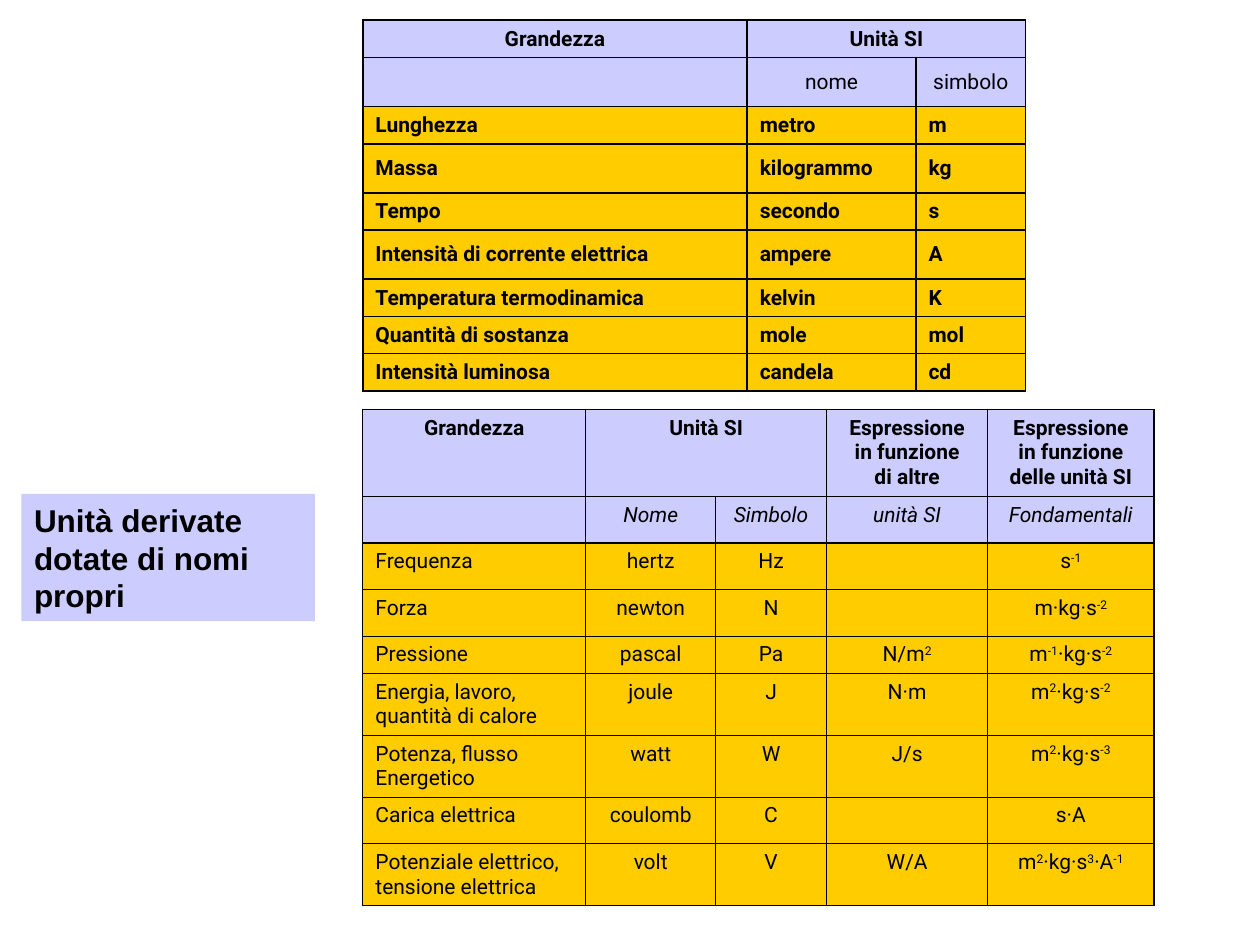
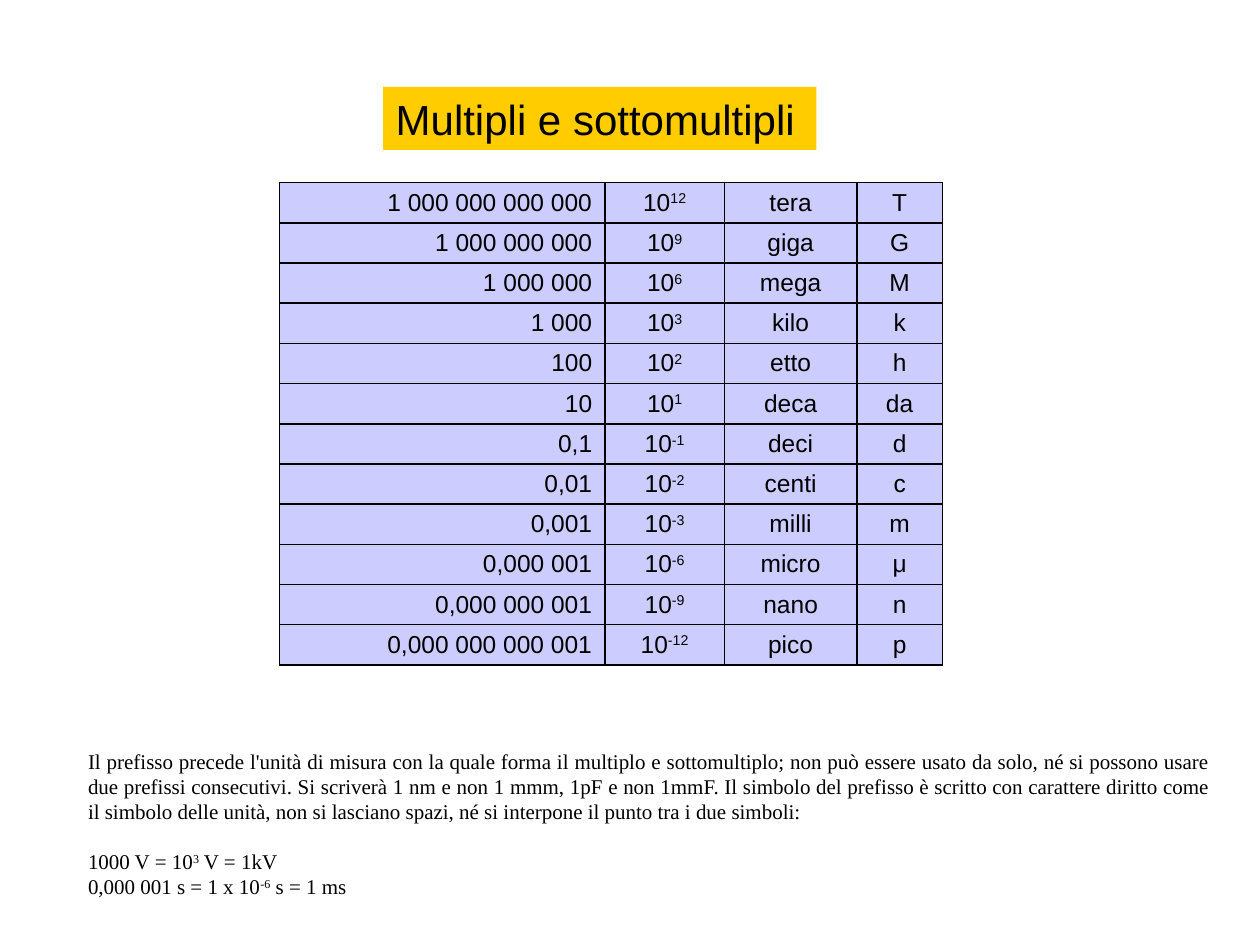
"""Build two slides on SI units, their symbols and their prefixes."""
import dataclasses

import pptx
import pptx.dml.color
import pptx.enum.text
import pptx.oxml
import pptx.oxml.ns
import pptx.util

ALIGN = pptx.enum.text.PP_ALIGN
ANCHOR = pptx.enum.text.MSO_ANCHOR
COLUMNS = 100
ROWS = 75


@dataclasses.dataclass(frozen=True)
class Theme:
    """Colours, fonts and type sizes shared by the slides."""
    lilac: str = "CCCCFF"
    amber: str = "FFCC00"
    ink: str = "000000"
    sans: str = "Arial"
    grid_face: str = "Roboto"
    serif: str = "Times New Roman"
    small: int = 12
    medium: int = 14
    heading: int = 18
    large: int = 24


THEME = Theme()

BASE_UNITS = [
    ("Grandezza", "Unità SI", None),
    ("", "nome", "simbolo"),
    ("Lunghezza", "metro", "m"),
    ("Massa", "kilogrammo", "kg"),
    ("Tempo", "secondo", "s"),
    ("Intensità di corrente elettrica", "ampere", "A"),
    ("Temperatura termodinamica", "kelvin", "K"),
    ("Quantità di sostanza", "mole", "mol"),
    ("Intensità luminosa", "candela", "cd"),
]
DERIVED_UNITS = [
    ("Grandezza", "Unità SI", None, "Espressione\nin funzione\ndi altre",
     "Espressione\nin funzione\ndelle unità SI"),
    ("", "Nome", "Simbolo", "unità SI", "Fondamentali"),
    ("Frequenza", "hertz", "Hz", "", "s^-1^"),
    ("Forza", "newton", "N", "", "m·kg·s^-2^"),
    ("Pressione", "pascal", "Pa", "N/m^2^", "m^-1^·kg·s^-2^"),
    ("Energia, lavoro,\nquantità di calore", "joule", "J", "N·m", "m^2^·kg·s^-2^"),
    ("Potenza, flusso\nEnergetico", "watt", "W", "J/s", "m^2^·kg·s^-3^"),
    ("Carica elettrica", "coulomb", "C", "", "s·A"),
    ("Potenziale elettrico,\ntensione elettrica", "volt", "V", "W/A",
     "m^2^·kg·s^3^·A^-1^"),
]
PREFIXES = [
    ("1 000 000 000 000", 12, "tera", "T"),
    ("1 000 000 000", 9, "giga", "G"),
    ("1 000 000", 6, "mega", "M"),
    ("1 000", 3, "kilo", "k"),
    ("100", 2, "etto", "h"),
    ("10", 1, "deca", "da"),
    ("0,1", -1, "deci", "d"),
    ("0,01", -2, "centi", "c"),
    ("0,001", -3, "milli", "m"),
    ("0,000 001", -6, "micro", "μ"),
    ("0,000 000 001", -9, "nano", "n"),
    ("0,000 000 000 001", -12, "pico", "p"),
]
PREFIX_RULE = (
    "Il prefisso precede l'unità di misura con la quale forma il multiplo e "
    "sottomultiplo; non può essere usato da solo, né si possono usare due prefissi "
    "consecutivi. Si scriverà 1 nm e non 1 mmm, 1pF e non 1mmF. Il simbolo del "
    "prefisso è scritto con carattere diritto come il simbolo delle unità, non si "
    "lasciano spazi, né si interpone il punto tra i due simboli:"
)
PREFIX_EXAMPLES = "1000 V = 10^3^ V = 1kV\n0,000 001 s = 1 x 10^-6^ s = 1 ms"


def units(count):
    """Convert grid columns or rows to a length."""
    return pptx.util.Inches(count * 10 / COLUMNS)


def set_all(target, values):
    """Set each named attribute on the target."""
    for name, value in values.items():
        setattr(target, name, value)


def paint(fill, colour):
    """Give a fill one solid colour."""
    fill.solid()
    fill.fore_color.rgb = pptx.dml.color.RGBColor.from_string(colour)


def type_style(face, size, bold=False, italic=False):
    """Return the font attributes of a type style."""
    return {"name": face, "size": pptx.util.Pt(size), "bold": bold, "italic": italic}


def write(paragraph, markup, style, **layout):
    """Write text in which carets enclose superscripts."""
    set_all(paragraph, layout)
    if not markup:
        ending = paragraph._p.get_or_add_endParaRPr()
        ending.set("sz", str(style["size"].centipoints))
    for part, text in enumerate(markup.split("^")):
        for line, words in enumerate(text.split("\n")):
            if line:
                paragraph.add_line_break()
            if not words:
                continue
            run = paragraph.add_run()
            run.text = words
            set_all(run.font, style)
            run.font.color.rgb = pptx.dml.color.RGBColor.from_string(THEME.ink)
            if part % 2:
                run._r.get_or_add_rPr().set("baseline", "30000")


def draw_borders(cell, width):
    """Rule the four sides of a cell."""
    properties = cell._tc.get_or_add_tcPr()
    for order, side in enumerate("LRTB"):
        properties.insert(order, pptx.oxml.parse_xml(
            f'<a:ln{side} {pptx.oxml.ns.nsdecls("a")} w="{pptx.util.Pt(width)}">'
            f'<a:solidFill><a:srgbClr val="{THEME.ink}"/></a:solidFill></a:ln{side}>'))


def add_grid(slide, corner, widths, heights, records, border, cell_look):
    """Add a ruled table; None in a record extends the cell to its left."""
    frame = slide.shapes.add_table(
        len(records), len(widths), units(corner[0]), units(corner[1]),
        units(sum(widths)), units(sum(heights)))
    grid = frame.table
    set_all(grid, {"first_row": False, "horz_banding": False})
    for column, width in zip(grid.columns, widths):
        column.width = units(width)
    for row, height in zip(grid.rows, heights):
        row.height = units(height)
    for r, record in enumerate(records):
        for c, markup in enumerate(record):
            cell = grid.cell(r, c)
            colour, anchor, align, style = cell_look(r, c)
            cell.vertical_anchor = anchor
            paint(cell.fill, colour)
            draw_borders(cell, border)
            if markup is None:
                grid.cell(r, c - 1).merge(cell)
            else:
                write(cell.text_frame.paragraphs[0], markup, style, alignment=align)


def base_look(row, column):
    """Return the look of a cell among the base units."""
    header = row < 2
    return (THEME.lilac if header else THEME.amber, ANCHOR.MIDDLE,
            ALIGN.CENTER if header else ALIGN.LEFT,
            type_style(THEME.grid_face, THEME.small, bold=row != 1))


def derived_look(row, column):
    """Return the look of a cell among the derived units."""
    header = row < 2
    return (THEME.lilac if header else THEME.amber, ANCHOR.TOP,
            ALIGN.CENTER if header or column else ALIGN.LEFT,
            type_style(THEME.grid_face, THEME.small, bold=row == 0, italic=row == 1))


def prefix_look(row, column):
    """Return the look of a cell among the prefixes."""
    return (THEME.lilac, ANCHOR.TOP, ALIGN.CENTER if column else ALIGN.RIGHT,
            type_style(THEME.sans, THEME.medium))


def place(shape, left, top, width, height):
    """Move and size a shape on the slide's grid."""
    set_all(shape, {"left": units(left), "top": units(top),
                    "width": units(width), "height": units(height)})


def add_titled_slide(deck, title, area, colour, style):
    """Add a slide whose title stands on a coloured band."""
    slide = deck.slides.add_slide(deck.slide_layouts[5])
    band = slide.shapes.title
    place(band, *area)
    paint(band.fill, colour)
    set_all(band.text_frame, {"word_wrap": True, "vertical_anchor": ANCHOR.MIDDLE,
                              "auto_size": pptx.enum.text.MSO_AUTO_SIZE.NONE})
    write(band.text_frame.paragraphs[0], title, style, alignment=ALIGN.LEFT)
    return slide


def add_prefix_note(slide, area):
    """Add the rule for prefixes and its examples."""
    note = slide.shapes.add_textbox(*map(units, area)).text_frame
    note.word_wrap = True
    style = type_style(THEME.serif, THEME.small)
    write(note.paragraphs[0], PREFIX_RULE, style, alignment=ALIGN.JUSTIFY)
    write(note.add_paragraph(), PREFIX_EXAMPLES, style, alignment=ALIGN.LEFT,
          space_before=pptx.util.Pt(14))


def add_units_slide(deck):
    """Add the slide of base and derived units."""
    slide = add_titled_slide(
        deck, "Unità derivate dotate di nomi propri", (1.7, 39.2, 23.3, 10.1),
        THEME.lilac, type_style(THEME.sans, THEME.heading, bold=True))
    low, tall = 2.95, 3.9
    add_grid(slide, (28.8, 1.6), (30.5, 13.4, 8.7),
             (low, tall, low, tall, low, tall, low, low, low),
             BASE_UNITS, 1, base_look)
    single, double = 3.7, 4.9
    add_grid(slide, (28.8, 32.5), (17.7, 10.3, 8.8, 12.8, 13.2),
             (6.9, single, single, single, low, double, double, single, double),
             DERIVED_UNITS, 0.75, derived_look)


def add_prefixes_slide(deck):
    """Add the slide of multiples and submultiples."""
    slide = add_titled_slide(
        deck, "Multipli e sottomultipli", (30.4, 6.9, 34.4, 5),
        THEME.amber, type_style(THEME.sans, THEME.large))
    records = [(number, f"10^{power}^", name, symbol)
               for number, power, name, symbol in PREFIXES]
    add_grid(slide, (22.2, 14.5), (25.8, 9.5, 10.5, 6.8), [3.18] * len(records),
             records, 1, prefix_look)
    add_prefix_note(slide, (6, 58.9, 91.1, 13))


def main():
    """Build and save the presentation."""
    deck = pptx.Presentation()
    set_all(deck, {"slide_width": units(COLUMNS), "slide_height": units(ROWS)})
    add_units_slide(deck)
    add_prefixes_slide(deck)
    deck.save("out.pptx")


if __name__ == "__main__":
    main()
